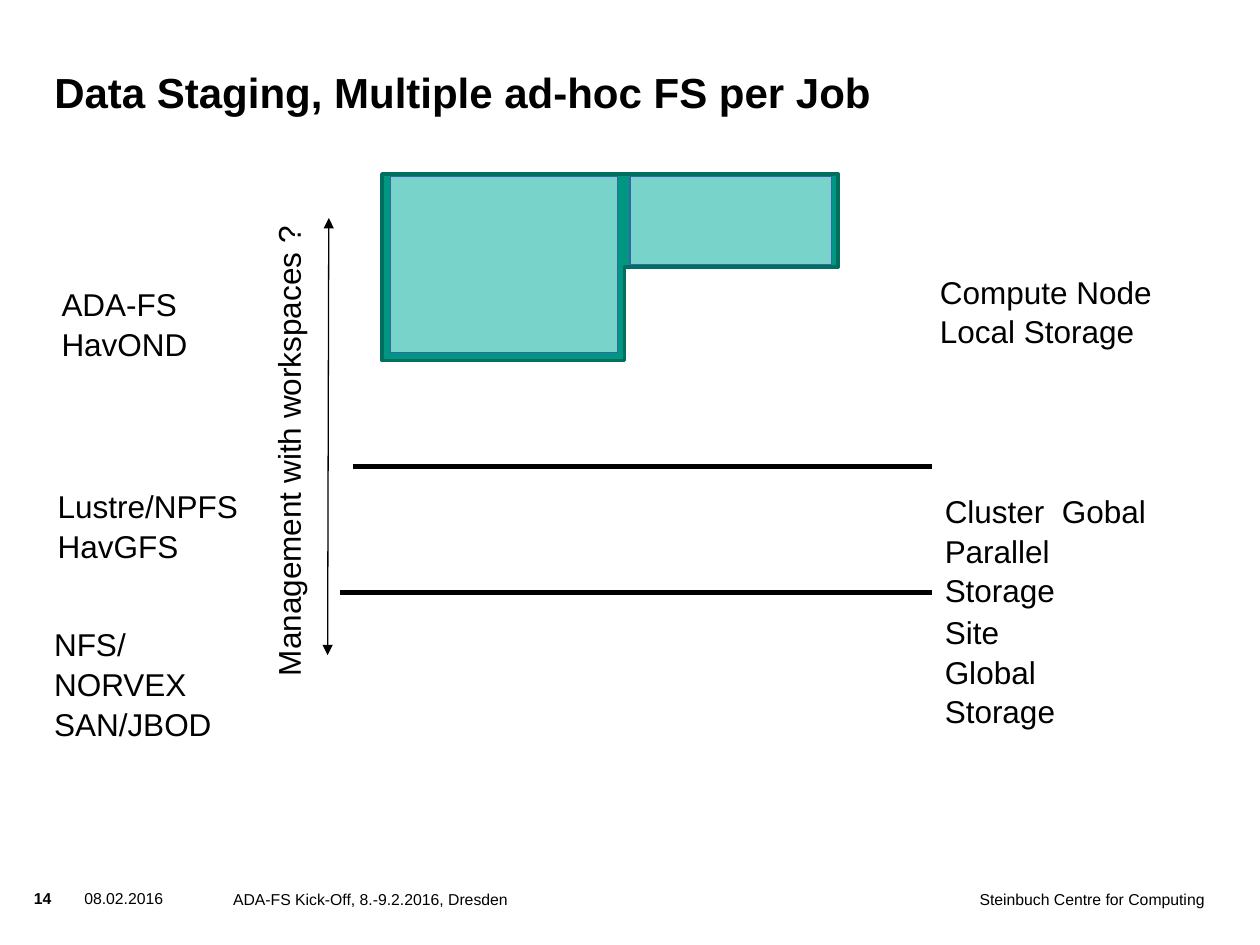
"""Build the slide on data staging with several ad-hoc file systems per job."""
from dataclasses import dataclass

from lxml.etree import SubElement
from pptx import Presentation
from pptx.dml.color import RGBColor
from pptx.enum.shapes import MSO_CONNECTOR, MSO_SHAPE as Preset
from pptx.enum.text import MSO_ANCHOR as Anchor, MSO_AUTO_SIZE as AutoSize, PP_ALIGN as Align
from pptx.oxml.ns import qn
from pptx.util import Pt

COLORS = {
    "text": "000000",
    "job": "009682",
    "job_edge": "006F60",
    "fs": "CCFFFF",
    "fs_edge": "3465A4",
}


@dataclass(frozen=True)
class Label:
    lines: tuple[str, ...]
    left: float
    top: float
    width: float
    height: float = 47.5
    size: float = 18
    bold: bool = False
    align: Align = Align.LEFT
    inset: tuple[float, float] = (7.2, 3.6)
    spacing: float = 1.05
    rotation: float = 0


@dataclass(frozen=True)
class Block:
    preset: Preset
    left: float
    top: float
    width: float
    height: float
    fill: str
    edge: str
    edge_width: float
    opacity: int = 100


@dataclass(frozen=True)
class Line:
    x1: float
    y1: float
    x2: float
    y2: float
    width: float
    arrows: bool = False


def footer(wording: str, left: float, top: float, width: float, **style) -> Label:
    return Label((wording,), left, top, width, 28, 9, inset=(0, 0), spacing=1, **style)


FOOTERS = [
    footer("14", 19.4, 507.6, 26, bold=True),
    footer("08.02.2016", 48.2, 507.6, 67.7),
    footer("ADA-FS Kick-Off, 8.-9.2.2016, Dresden", 133.2, 508.3, 329),
    footer("Steinbuch Centre for Computing", 473, 508.3, 215.3, align=Align.RIGHT),
]
STORAGE_LABELS = [
    Label(("Compute Node", "Local Storage"), 530, 151.2, 139.7),
    Label(("Site Global", "Storage"), 532.8, 345.6, 102.2),
    Label(("ADA-FS", "HavOND"), 28.1, 158.4, 95.8),
    Label(("Lustre/NPFS", "HavGFS"), 25.9, 273.6, 118.1),
    Label(("NFS/NORVEX", "SAN/JBOD"), 23.8, 352.8, 126),
    Label(("Cluster  Gobal", "Parallel Storage"), 532.8, 276.5, 141.8),
    Label(("Management with workspaces ?",), 18.7, 235.4, 288.7, 27.4, rotation=270),
]
JOB = Block(Preset.CORNER, 218.2, 99.4, 260.6, 106.6, "job", "job_edge", 2)
AD_HOC_FILE_SYSTEMS = [
    Block(Preset.RECTANGLE, 360, 100.8, 115.2, 50.4, "fs", "fs_edge", 0.75, 59),
    Block(Preset.RECTANGLE, 223.2, 100.8, 129.6, 100.8, "fs", "fs_edge", 0.75, 59),
]
LINES = [
    Line(201.6, 266.4, 532.8, 266.4, 2.89),
    Line(194.4, 338.4, 532.8, 338.4, 2.89),
    Line(187.9, 124.6, 187.2, 374.4, 0.75, arrows=True),
]


def rgb(name: str) -> RGBColor:
    return RGBColor.from_string(COLORS[name])


def style_paragraph(paragraph, size: float, bold: bool) -> None:
    font = paragraph.font
    font.name, font.size, font.bold = "Arial", Pt(size), bold
    font.color.rgb = rgb("text")


def set_insets(frame, across: float, down: float) -> None:
    frame.margin_left = frame.margin_right = Pt(across)
    frame.margin_top = frame.margin_bottom = Pt(down)


def add_label(slide, label: Label) -> None:
    box = slide.shapes.add_textbox(
        Pt(label.left), Pt(label.top), Pt(label.width), Pt(label.height)
    )
    box.rotation = label.rotation
    frame = box.text_frame
    frame.word_wrap = True
    set_insets(frame, *label.inset)
    frame.text = "\n".join(label.lines)
    for paragraph in frame.paragraphs:
        paragraph.alignment = label.align
        paragraph.line_spacing = label.spacing
        style_paragraph(paragraph, label.size, label.bold)


def add_block(slide, block: Block):
    shape = slide.shapes.add_shape(
        block.preset, Pt(block.left), Pt(block.top), Pt(block.width), Pt(block.height)
    )
    shape.shadow.inherit = False
    shape.fill.solid()
    shape.fill.fore_color.rgb = rgb(block.fill)
    shape.line.color.rgb = rgb(block.edge)
    shape.line.width = Pt(block.edge_width)
    if block.opacity < 100:
        color = shape.fill._xPr.find(qn("a:solidFill"))[0]
        SubElement(color, qn("a:alpha"), val=str(block.opacity * 1000))
    return shape


def add_job(slide) -> None:
    shape = add_block(slide, JOB)
    shape.adjustments[0], shape.adjustments[1] = 0.5, 1.3
    shape.rotation = 180
    shape._element.spPr.find(qn("a:xfrm")).set("flipH", "1")


def add_line(slide, line: Line) -> None:
    connector = slide.shapes.add_connector(
        MSO_CONNECTOR.STRAIGHT, Pt(line.x1), Pt(line.y1), Pt(line.x2), Pt(line.y2)
    )
    connector.line.color.rgb = rgb("text")
    connector.line.width = Pt(line.width)
    if line.arrows:
        for end in ("a:headEnd", "a:tailEnd"):
            SubElement(connector.line._get_or_add_ln(), qn(end), type="triangle")
    SubElement(connector._element.spPr, qn("a:effectLst"))


def set_title(slide, wording: str) -> None:
    title = slide.shapes.title
    title.left, title.top, title.width, title.height = Pt(31), Pt(23), Pt(544.3), Pt(43.9)
    frame = title.text_frame
    frame.text = wording
    frame.word_wrap = True
    frame.auto_size = AutoSize.NONE
    frame.vertical_anchor = Anchor.BOTTOM
    set_insets(frame, 0, 0)
    heading = frame.paragraphs[0]
    heading.alignment = Align.LEFT
    style_paragraph(heading, 24, True)


def main() -> None:
    deck = Presentation()
    deck.slide_width, deck.slide_height = Pt(720), Pt(540)
    slide = deck.slides.add_slide(deck.slide_layouts.get_by_name("Title Only"))
    set_title(slide, "Data Staging, Multiple ad-hoc FS per Job")
    add_job(slide)
    for file_system in AD_HOC_FILE_SYSTEMS:
        add_block(slide, file_system)
    for line in LINES:
        add_line(slide, line)
    for label in STORAGE_LABELS + FOOTERS:
        add_label(slide, label)
    deck.save("out.pptx")


if __name__ == "__main__":
    main()
